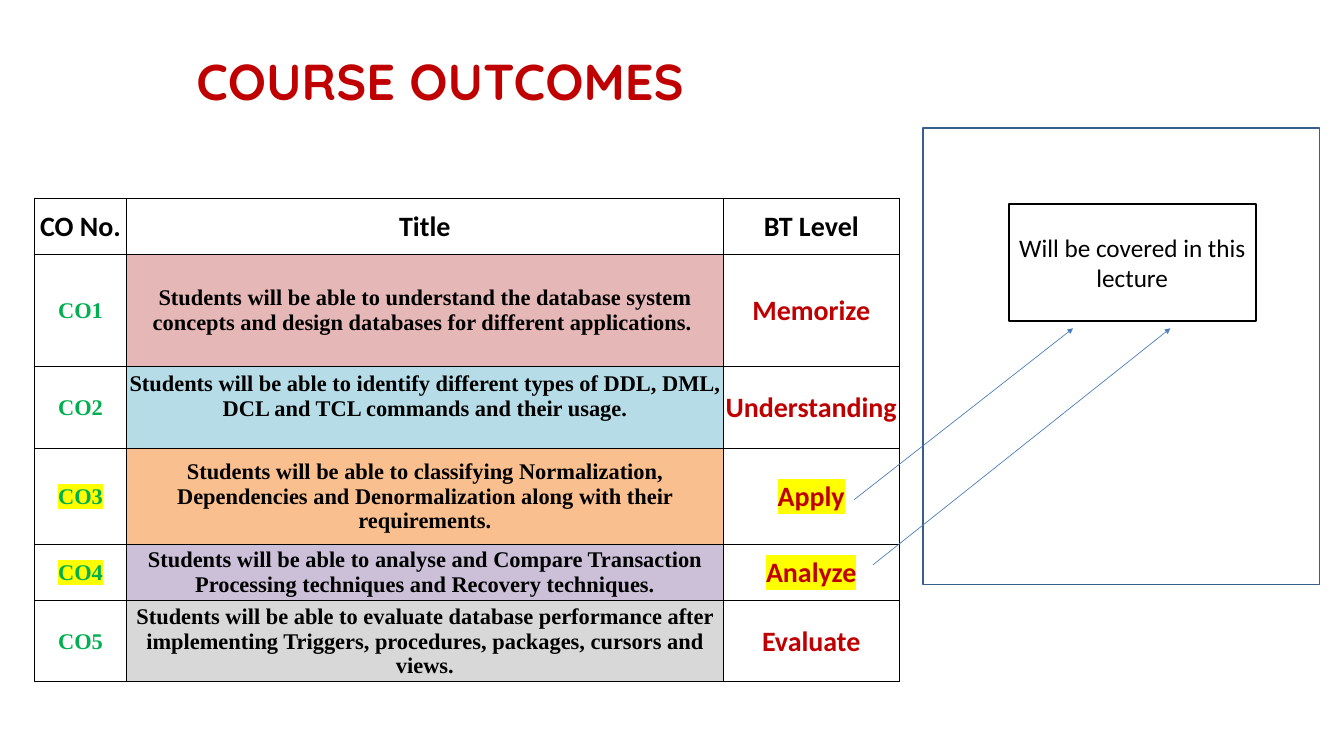
from dataclasses import dataclass

from lxml.etree import SubElement
from pptx import Presentation
from pptx.dml.color import RGBColor
from pptx.enum.shapes import MSO_CONNECTOR, MSO_SHAPE
from pptx.enum.text import MSO_ANCHOR as Anchor, PP_ALIGN as Align
from pptx.oxml import parse_xml
from pptx.oxml.ns import nsdecls, qn
from pptx.util import Emu, Pt

PX = 9525  # EMU per px, 96 px to the inch

COLORS = {
    "black": "000000", "white": "FFFFFF", "red": "C00000", "green": "00B050",
    "yellow": "FFFF00", "frame": "395E89", "arrow": "4A7DBA",
    "rose": "E5B8B7", "aqua": "B6DDE7", "orange": "FABF8E",
    "violet": "CCC0D9", "grey": "D8D8D8",
}

HEADING = {"name": "Calibri", "size": Pt(30), "bold": True}
BODY = {"name": "Times New Roman", "size": Pt(24), "bold": True}
TITLE = {"name": "Quicksand", "size": Pt(54), "bold": True}
NOTE = {"name": "Calibri", "size": Pt(27), "bold": False}


@dataclass
class Outcome:
    number: str
    title: str
    level: str
    fill: str
    height: int
    covered: bool = False
    space_below: int = 0


@dataclass
class Box:
    left: int
    top: int
    width: int
    height: int

    def emu(self) -> list[Emu]:
        return [px(v) for v in (self.left, self.top, self.width, self.height)]


@dataclass
class Arrow:
    start: tuple[int, int]
    end: tuple[int, int]


HEADERS = ("CO No.", "Title", "BT Level")
HEADER_HEIGHT = 80
COLUMN_WIDTHS = (132, 852, 252)
OUTCOMES = [
    Outcome("CO1", "Students will be able to understand the database system concepts "
            "and design databases for different applications. ", "Memorize", "rose", 160),
    Outcome("CO2", "Students will be able to identify different types of DDL, DML, DCL "
            "and TCL commands and their usage.", "Understanding", "aqua", 117, space_below=32),
    Outcome("CO3", "Students will be able to classifying Normalization, Dependencies and "
            "Denormalization along with their requirements.", "Apply", "orange", 137, True),
    Outcome("CO4", "Students will be able to analyse and Compare Transaction Processing "
            "techniques and Recovery techniques.", "Analyze", "violet", 80, True),
    Outcome("CO5", "Students will be able to evaluate database performance after implementing "
            "Triggers, procedures, packages, cursors and views.", "Evaluate", "grey", 117),
]
ARROWS = [Arrow((1247, 807), (1672, 469)), Arrow((1220, 714), (1533, 469))]


def px(value: int) -> Emu:
    return Emu(value * PX)


def rgb(color: str) -> RGBColor:
    return RGBColor.from_string(COLORS[color])


def write(frame, text: str, style: dict, color: str, align=Align.CENTER,
          highlighted: bool = False) -> None:
    paragraph = frame.paragraphs[0]
    paragraph.alignment = align
    run = paragraph.add_run()
    run.text = text
    for key, value in style.items():
        setattr(run.font, key, value)
    run.font.color.rgb = rgb(color)
    if highlighted:
        run.font._element.find(qn("a:solidFill")).addnext(parse_xml(
            f'<a:highlight {nsdecls("a")}><a:srgbClr val="{COLORS["yellow"]}"/></a:highlight>'))


def set_format(target, **values) -> None:
    for key, value in values.items():
        setattr(target, key, value)


def draw_borders(cell, outer: dict[str, bool]) -> None:
    properties = cell._tc.get_or_add_tcPr()
    for index, (side, is_outer) in enumerate(outer.items()):
        width = Pt(1 if is_outer else 0.75)
        properties.insert(index, parse_xml(
            f'<a:ln{side} {nsdecls("a")} w="{width}"><a:solidFill>'
            f'<a:srgbClr val="{COLORS["black"]}"/></a:solidFill></a:ln{side}>'))


def draw_table(slide, left: int, top: int) -> None:
    heights = [HEADER_HEIGHT] + [outcome.height for outcome in OUTCOMES]
    area = Box(left, top, sum(COLUMN_WIDTHS), sum(heights))
    table = slide.shapes.add_table(len(heights), len(COLUMN_WIDTHS), *area.emu()).table
    set_format(table, first_row=False, horz_banding=False)
    for column, width in zip(table.columns, COLUMN_WIDTHS):
        column.width = px(width)
    for row, height in zip(table.rows, heights):
        row.height = px(height)

    # Cell frames
    last_row, last_column = len(heights) - 1, len(COLUMN_WIDTHS) - 1
    for r in range(len(heights)):
        for c in range(len(COLUMN_WIDTHS)):
            cell = table.cell(r, c)
            set_format(cell, vertical_anchor=Anchor.MIDDLE, margin_left=px(2),
                       margin_top=px(2), margin_right=px(2), margin_bottom=0)
            cell.fill.background()
            draw_borders(cell, {"L": c == 0, "R": c == last_column,
                                "T": r == 0, "B": r == last_row})

    # Wording
    for c, header in enumerate(HEADERS):
        write(table.cell(0, c).text_frame, header, HEADING, "black")
    for r, outcome in enumerate(OUTCOMES, start=1):
        number, title, level = (table.cell(r, c) for c in range(3))
        write(number.text_frame, outcome.number, BODY, "green", highlighted=outcome.covered)
        write(title.text_frame, outcome.title, BODY, "black")
        write(level.text_frame, outcome.level, HEADING, "red", highlighted=outcome.covered)
        title.fill.solid()
        title.fill.fore_color.rgb = rgb(outcome.fill)
        title.margin_bottom = px(outcome.space_below)


def draw_rectangle(slide, box: Box, line: str, fill: str | None = None):
    rectangle = slide.shapes.add_shape(MSO_SHAPE.RECTANGLE, *box.emu())
    rectangle.shadow.inherit = False
    if fill:
        rectangle.fill.solid()
        rectangle.fill.fore_color.rgb = rgb(fill)
    else:
        rectangle.fill.background()
    rectangle.line.color.rgb = rgb(line)
    rectangle.line.width = Pt(2)
    return rectangle


def draw_arrow(slide, arrow: Arrow) -> None:
    ends = [px(v) for v in (*arrow.start, *arrow.end)]
    connector = slide.shapes.add_connector(MSO_CONNECTOR.STRAIGHT, *ends)
    connector.line.color.rgb = rgb("arrow")
    connector.line.width = Pt(0.75)
    SubElement(connector.line._get_or_add_ln(), qn("a:tailEnd"), type="triangle")
    SubElement(connector._element.spPr, qn("a:effectLst"))


def main() -> None:
    deck = Presentation()
    deck.slide_width, deck.slide_height = px(1920), px(1080)
    slide = deck.slides.add_slide(deck.slide_layouts[6])

    # Course outcomes table
    draw_table(slide, 49, 283)

    # Title
    title = slide.shapes.add_textbox(*Box(271, 60, 1242, 103).emu()).text_frame
    set_format(title, word_wrap=True, vertical_anchor=Anchor.BOTTOM)
    write(title, "COURSE OUTCOMES", TITLE, "red", Align.LEFT)

    # Panel with the lecture note
    draw_rectangle(slide, Box(1318, 183, 567, 652), "frame")
    note = draw_rectangle(slide, Box(1441, 291, 353, 168), "black", "white").text_frame
    set_format(note, word_wrap=True, vertical_anchor=Anchor.MIDDLE, margin_left=px(14),
               margin_right=px(14), margin_top=px(7), margin_bottom=px(7))
    write(note, "Will be covered in this lecture", NOTE, "black")

    # Arrows from the covered levels to the note
    for arrow in ARROWS:
        draw_arrow(slide, arrow)

    deck.save("out.pptx")


if __name__ == "__main__":
    main()
